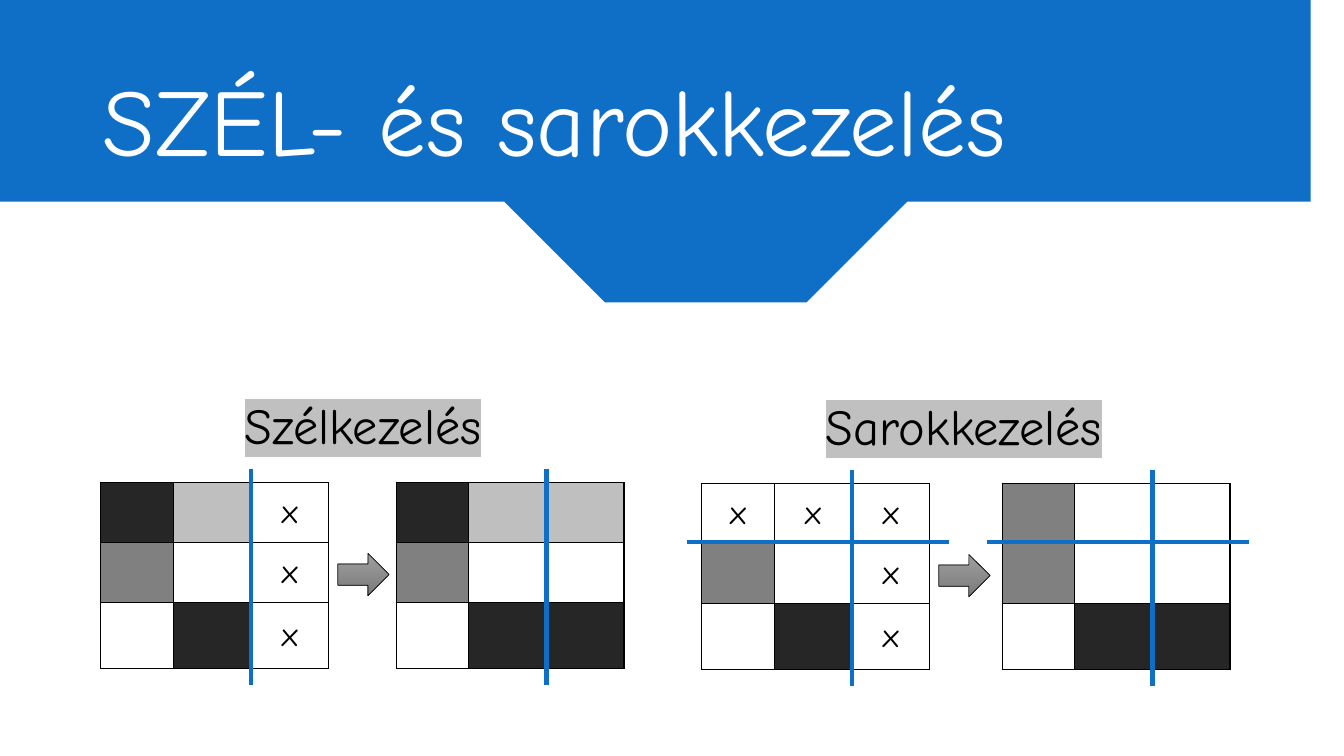
from lxml import etree
from pptx import Presentation
from pptx.dml.color import RGBColor
from pptx.enum import shapes, text
from pptx.oxml import ns
from pptx.util import Inches, Pt

FONT = "Comic Neue"
HUES = {"blue": "0F6FC6", "white": "FFFFFF", "black": "000000", "dark": "262626",
        "mid": "808080", "light": "BFBFBF", "mark": "C0C0C0",
        "top": "9D9D9D", "low": "7C7C7C"}
TONES = {"D": "dark", "M": "mid", "L": "light", "W": "white", "x": "white"}
COLS = [0.72, 0.77, 0.77]
ROWS = [0.59, 0.6, 0.65]
BANNER = [
    (0, 0), (13.33, 0), (13.33, 1.9), (13.09, 1.95), (12.47, 2.06), (11.84, 2.17),
    (11.75, 2.18), (11.86, 2.17), (12.66, 2.1), (13.33, 2.02), (13.33, 2.09),
    (12.66, 2.16), (11.62, 2.25), (10.72, 2.32), (10.11, 2.38), (9.55, 2.43),
    (8.82, 2.48), (8.37, 2.51), (7.14, 2.54), (6.76, 2.57), (6.54, 2.56),
    (5.87, 2.55), (4.8, 2.5), (4.2, 2.47), (3.75, 2.44), (3.08, 2.39),
    (2.53, 2.33), (2.04, 2.28), (1.6, 2.23), (1.15, 2.17), (0.65, 2.09),
    (0.38, 2.05), (0, 1.98), (0, 1.92), (0.54, 2.02), (1.04, 2.09),
    (1.47, 2.15), (1.86, 2.2), (2.26, 2.25), (2.82, 2.3), (3.26, 2.34),
    (3.55, 2.37), (4, 2.4), (4.54, 2.43), (5.04, 2.45), (4.57, 2.42),
    (4.03, 2.38), (3.39, 2.33), (2.84, 2.27), (2.29, 2.21), (1.58, 2.13),
    (1.11, 2.06), (0.65, 1.99), (0.22, 1.92), (0, 1.88)]


def hue(name):
    return RGBColor.from_string(HUES[name])


def paint(fill, name):
    fill.solid()
    fill.fore_color.rgb = hue(name)


def write(frame, words, size, color="black", align="CENTER", mark=None):
    para = frame.paragraphs[0]
    para.alignment = getattr(text.PP_ALIGN, align)
    run = para.add_run()
    run.text = words
    run.font.size = Pt(size)
    run.font.color.rgb = hue(color)
    if mark:
        light = etree.SubElement(run.font._element, ns.qn("a:highlight"))
        etree.SubElement(light, ns.qn("a:srgbClr"), val=HUES[mark])
    run.font.name = FONT


def border(cell):
    props = cell._tc.get_or_add_tcPr()
    for spot, side in enumerate("LRTB"):
        edge = etree.Element(ns.qn("a:ln" + side), w=str(Pt(1)))
        solid = etree.SubElement(edge, ns.qn("a:solidFill"))
        etree.SubElement(solid, ns.qn("a:srgbClr"), val=HUES["black"])
        props.insert(spot, edge)


def grid(slide, x, y, rows):
    table = slide.shapes.add_table(3, 3, Inches(x), Inches(y),
                                   Inches(sum(COLS)), Inches(sum(ROWS))).table
    table.first_row = table.horz_banding = False
    for col, width in zip(table.columns, COLS):
        col.width = Inches(width)
    for row, height in zip(table.rows, ROWS):
        row.height = Inches(height)
    for cell, code in zip(table.iter_cells(), "".join(rows)):
        if code in TONES:
            paint(cell.fill, TONES[code])
        else:
            cell.fill.background()
        border(cell)
        if code == "x":
            cell.vertical_anchor = text.MSO_ANCHOR.MIDDLE
            write(cell.text_frame, "x", 24)


def rule(slide, *ends):
    line = slide.shapes.add_connector(shapes.MSO_CONNECTOR.STRAIGHT, *map(Inches, ends))
    line.line.color.rgb = hue("blue")
    line.line.width = Pt(3)
    etree.SubElement(line.element.spPr, ns.qn("a:effectLst"))


def arrow(slide, x, y):
    shape = slide.shapes.add_shape(shapes.MSO_SHAPE.RIGHT_ARROW, Inches(x), Inches(y),
                                   Inches(0.51), Inches(0.42))
    shape.shadow.inherit = False
    shape.fill.gradient()
    shape.fill.gradient_angle = 270
    for stop, name in zip(shape.fill.gradient_stops, ("top", "low")):
        stop.color.rgb = hue(name)
    shape.line.color.rgb = hue("black")
    shape.line.width = Pt(0.5)


def panel(slide, x, y, label, before, after, gap, corner=False):
    box = slide.shapes.add_textbox(Inches(x + 1.04), Inches(y - 0.93),
                                   Inches(3.12), Inches(0.7))
    box.text_frame.word_wrap = True
    write(box.text_frame, label, 36, mark="mark")
    for left, rows in ((x, before), (x + gap, after)):
        grid(slide, left, y, rows)
        rule(slide, left + 1.49, y - 0.14, left + 1.49, y + 2.01)
        if corner:
            rule(slide, left - 0.15, y + 0.58, left + 2.45, y + 0.58)
    arrow(slide, x + 2.35, y + 0.7)


def header(slide, words):
    pen = slide.shapes.build_freeform(0, 0, scale=Inches(1))
    pen.add_line_segments(BANNER[1:], close=True)
    banner = pen.convert_to_shape()
    banner.shadow.inherit = False
    paint(banner.fill, "blue")
    banner.line.fill.background()
    title = slide.shapes.title
    title.element.addprevious(banner.element)
    title.left, title.top, title.width, title.height = map(Inches, (0.92, 0.44, 11.5, 1.47))
    title.text_frame.vertical_anchor = text.MSO_ANCHOR.MIDDLE
    write(title.text_frame, words, 68, color="white", align="LEFT")


def main():
    deck = Presentation()
    deck.slide_width, deck.slide_height = Inches(13.33), Inches(7.5)
    slide = deck.slides.add_slide(deck.slide_layouts[5])
    header(slide, "SZÉL- és sarokkezelés")
    panel(slide, 1, 4.79, "Szélkezelés",
          ("DLx", "M.x", ".Dx"), ("DLL", "M.W", ".DD"), 2.93)
    panel(slide, 6.96, 4.8, "Sarokkezelés",
          ("xxx", "M.x", ".Dx"), ("MWW", "MWW", ".DD"), 2.98, corner=True)
    deck.save("out.pptx")


if __name__ == "__main__":
    main()
